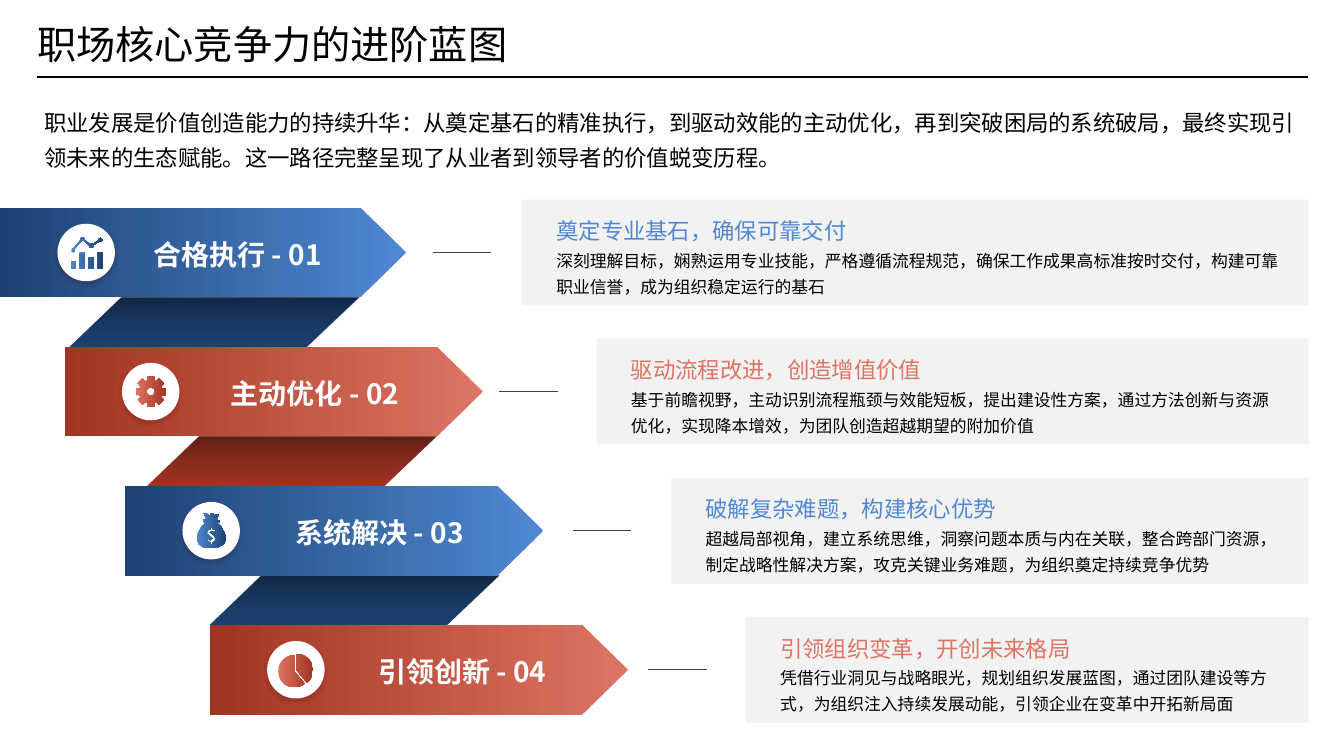
from copy import deepcopy
from math import cos, radians, sin

from lxml.etree import SubElement
from pptx import Presentation
from pptx.dml.color import RGBColor
from pptx.enum.shapes import MSO_CONNECTOR, MSO_SHAPE
from pptx.enum.text import MSO_ANCHOR, PP_ALIGN
from pptx.oxml.ns import qn
from pptx.util import Inches, Pt

FONT = "Noto Sans CJK SC"
BLACK = RGBColor(0x00, 0x00, 0x00)
WHITE = RGBColor(0xFF, 0xFF, 0xFF)
GRAY = RGBColor(0x40, 0x40, 0x40)
PANEL = RGBColor(0xF2, 0xF2, 0xF2)
SHADOW = RGBColor(0x42, 0x00, 0x03)
BLUE = (RGBColor(0x50, 0x88, 0xD3), RGBColor(0x1D, 0x42, 0x73))
RED = (RGBColor(0xDE, 0x74, 0x63), RGBColor(0xA1, 0x34, 0x22))

ROW_TOP, ROW_STEP = 2.06, 1.38
ARROW_H, RIBBON_H, ICON_D = 0.89, 0.49, 0.57
NO_INSETS = dict(margin_left=0, margin_top=0, margin_right=0, margin_bottom=0)


def arc(cx, cy, r, start, end):
    """Points along an arc, one every 10 degrees."""
    return [(cx + r * cos(radians(a)), cy + r * sin(radians(a)))
            for a in range(start, end + 1, 10)]


def gear(c, outer, inner):
    """Outline of an eight-tooth gear."""
    corners = ((-18, inner), (-13, outer), (13, outer), (18, inner))
    return [(c + r * cos(radians(45 * k + a)), c + r * sin(radians(45 * k + a)))
            for k in range(8) for a, r in corners]


# Icon outlines in hundredths of an inch from the badge corner
BARS = [[(x, top), (x + 5, top), (x + 5, 45), (x, 45)]
        for x, top in ((13, 37), (22, 29), (31, 33), (40, 28))]
TREND = [(41, 18), (44, 18), (45, 16), (43, 14), (41, 15), (40, 17), (35, 20),
         (32, 20), (27, 16), (26, 13), (23, 14), (23, 16), (16, 24), (14, 25),
         (14, 28), (17, 28), (17, 25), (24, 17), (26, 17), (31, 21), (32, 24),
         (35, 24), (36, 21)]
BAG = [(33, 20), (37, 20), (37, 18), (34, 18), (36, 12), (33, 12), (30, 14),
       (31, 11), (28, 11), (27, 14), (25, 12), (21, 11), (24, 18), (21, 17),
       (21, 20), (24, 20), (19, 24), (15, 31), (14, 37), (16, 42), (21, 45),
       (28, 46), (35, 45), (41, 42), (43, 37), (42, 31), (38, 24)]
DOLLAR = [(30, 40), (30, 42), (28, 42), (28, 40), (24, 39), (25, 37), (28, 38),
          (30, 36), (28, 35), (24, 31), (25, 28), (28, 27), (28, 25), (30, 25),
          (30, 27), (33, 28), (32, 30), (29, 29), (27, 30), (30, 32), (33, 36),
          (32, 39)]
CHART_ICON = BARS + [TREND]
GEAR_ICON = [gear(28.5, 15.5, 11.5), arc(28.5, 28.5, 4, 0, 360)]
BAG_ICON = [BAG, DOLLAR]
PIE_ICON = [[(29, 29)] + arc(29, 29, 16.5, -90, 0),
            [(27, 30)] + arc(27, 30, 16, 50, 270),
            [(30, 30)] + arc(30, 30, 15, 0, 50)]

# Colours, arrow x and width, label x, connector x, text width, icon, wording
STEPS = [
    (BLUE, 0, 4.03, 1.52, 4.29, 7.46, CHART_ICON, "合格执行 - 01", "奠定专业基石，确保可靠交付",
     "深刻理解目标，娴熟运用专业技能，严格遵循流程规范，确保工作成果高标准按时交付，构建可靠职业信誉，成为组织稳定运行的基石"),
    (RED, 0.64, 4.15, 2.29, 4.95, 6.6, GEAR_ICON, "主动优化 - 02", "驱动流程改进，创造增值价值",
     "基于前瞻视野，主动识别流程瓶颈与效能短板，提出建设性方案，通过方法创新与资源优化，实现降本增效，为团队创造超越期望的附加价值"),
    (BLUE, 1.24, 4.15, 2.93, 5.68, 5.97, BAG_ICON, "系统解决 - 03", "破解复杂难题，构建核心优势",
     "超越局部视角，建立系统思维，洞察问题本质与内在关联，整合跨部门资源，制定战略性解决方案，攻克关键业务难题，为组织奠定持续竞争优势"),
    (RED, 2.08, 4.15, 3.75, 6.43, 5.12, PIE_ICON, "引领创新 - 04", "引领组织变革，开创未来格局",
     "凭借行业洞见与战略眼光，规划组织发展蓝图，通过团队建设等方式，为组织注入持续发展动能，引领企业在变革中开拓新局面"),
]
RIBBON_X = (0.69, 1.46, 2.08)
INTRO = ("职业发展是价值创造能力的持续升华：从奠定基石的精准执行，到驱动效能的主动优化，"
         "再到突破困局的系统破局，最终实现引领未来的生态赋能。这一路径完整呈现了从业者到领导者的价值蜕变历程。")


def set_fill(fill, color, angle=0):
    """Solid fill for one colour, gradient for a pair."""
    if isinstance(color, RGBColor):
        fill.solid()
        fill.fore_color.rgb = color
        return
    fill.gradient()
    fill.gradient_angle = angle
    for stop, rgb in zip(fill.gradient_stops, color):
        stop.color.rgb = rgb


def format_text(tf, **values):
    for name, value in values.items():
        setattr(tf, name, value)


def add_run(p, text, color, **values):
    r = p.add_run()
    r.text = text
    set_fill(r.font.fill, color)
    for name, value in dict(name=FONT, **values).items():
        setattr(r.font, name, value)
    SubElement(r.font._element, qn("a:ea"), typeface=FONT)


def add_text(s, x, y, w, h, **values):
    tf = s.shapes.add_textbox(Inches(x), Inches(y), Inches(w), Inches(h)).text_frame
    format_text(tf, word_wrap=True, **values)
    return tf.paragraphs[0]


def add_shape(s, kind, x, y, w, h, color, angle=0, adj=None):
    sp = s.shapes.add_shape(kind, Inches(x), Inches(y), Inches(w), Inches(h))
    sp.shadow.inherit = False
    set_fill(sp.fill, color, angle)
    sp.line.fill.background()
    if adj is not None:
        sp.adjustments[0] = adj
    return sp


def add_line(s, x1, x2, y, color, width):
    line = s.shapes.add_connector(MSO_CONNECTOR.STRAIGHT, Inches(x1), Inches(y),
                                  Inches(x2), Inches(y))
    line.line.color.rgb = color
    line.line.width = Pt(width)
    SubElement(line._element.spPr, qn("a:effectLst"))


def add_ribbon(s, x, y, color):
    box = (MSO_SHAPE.PARALLELOGRAM, x, y, 2.87, RIBBON_H)
    add_shape(s, *box, color, adj=1.048)
    shade = add_shape(s, *box, (BLACK, BLACK), 90, 1.048)
    # Shade fades from clear at the bottom to 40% at the top
    first, last = shade._element.spPr.iter(qn("a:gs"))
    middle = deepcopy(first)
    middle.set("pos", "50000")
    first.addnext(middle)
    for stop, alpha in ((first, 0), (middle, 15), (last, 40)):
        SubElement(stop[0], qn("a:alpha"), val=str(alpha * 1000))


def add_badge(s, x, y, outlines, colors):
    badge = add_shape(s, MSO_SHAPE.OVAL, x, y, ICON_D, ICON_D, WHITE)
    effects = badge._element.spPr.find(qn("a:effectLst"))
    shadow = SubElement(effects, qn("a:outerShdw"), blurRad=str(Pt(3.5)),
                        dist=str(Pt(2.6)), dir="5400000", rotWithShape="0")
    tint = SubElement(shadow, qn("a:srgbClr"), val=str(SHADOW))
    SubElement(tint, qn("a:alpha"), val="20000")
    # Icon: all outlines in one freeform, inner ones cut holes
    outlines = [[(Inches(px / 100), Inches(py / 100)) for px, py in o] for o in outlines]
    fb = s.shapes.build_freeform(*outlines[0][0])
    fb.add_line_segments(outlines[0][1:])
    for outline in outlines[1:]:
        fb.move_to(*outline[0])
        fb.add_line_segments(outline[1:])
    icon = fb.convert_to_shape(Inches(x), Inches(y))
    icon.shadow.inherit = False
    set_fill(icon.fill, colors)
    icon.line.fill.background()


def add_step(s, i, colors, x, w, label_x, line_x, text_w, icon, label, heading, detail):
    y = ROW_TOP + ROW_STEP * i
    panel_x = 5.18 + 0.74 * i
    add_shape(s, MSO_SHAPE.RECTANGLE, panel_x, y - 0.08, 12.98 - panel_x, 1.05, PANEL)
    add_line(s, line_x, line_x + 0.58, y + ARROW_H / 2, GRAY, 0.5)
    add_shape(s, MSO_SHAPE.PENTAGON, x, y, w, ARROW_H, colors, 180, 0.517)
    add_badge(s, x + 0.57, y + 0.16, icon, colors)
    p = add_text(s, label_x, y + 0.29, 2.63, 0.34, vertical_anchor=MSO_ANCHOR.MIDDLE, **NO_INSETS)
    add_run(p, label, WHITE, size=Pt(20), bold=True)
    # Heading and detail
    p = add_text(s, panel_x + 0.24, y - 0.03, text_w, 0.96, vertical_anchor=MSO_ANCHOR.MIDDLE)
    p.line_spacing = 1.3
    add_run(p, heading, colors, size=Pt(16))
    p.add_line_break()
    SubElement(p._p[-1], qn("a:rPr"), sz="1600")
    add_run(p, detail, BLACK, size=Pt(12))


def add_title(s, text):
    title = s.shapes.title
    box = dict(left=0.37, top=0.2, width=4.71, height=0.47)
    for name, value in box.items():
        setattr(title, name, Inches(value))
    tf = title.text_frame
    format_text(tf, word_wrap=False, vertical_anchor=MSO_ANCHOR.TOP, **NO_INSETS)
    p = tf.paragraphs[0]
    p.alignment = PP_ALIGN.LEFT
    add_run(p, text, BLACK, size=Pt(28))


def main():
    prs = Presentation()
    prs.slide_width, prs.slide_height = Inches(13.33), Inches(7.5)
    s = prs.slides.add_slide(prs.slide_layouts[5])
    # Heading area
    add_title(s, "职场核心竞争力的进阶蓝图")
    add_line(s, 0.37, 12.97, 0.76, BLACK, 1.5)
    p = add_text(s, 0.34, 0.95, 12.64, 0.78)
    p.line_spacing = 1.3
    add_run(p, INTRO, BLACK, size=Pt(16))
    # Ribbons behind the arrows
    for i, x in enumerate(RIBBON_X):
        add_ribbon(s, x, ROW_TOP + ROW_STEP * i + ARROW_H, STEPS[i][0][1])
    # Steps
    for i, step in enumerate(STEPS):
        add_step(s, i, *step)
    prs.save("out.pptx")


if __name__ == "__main__":
    main()
